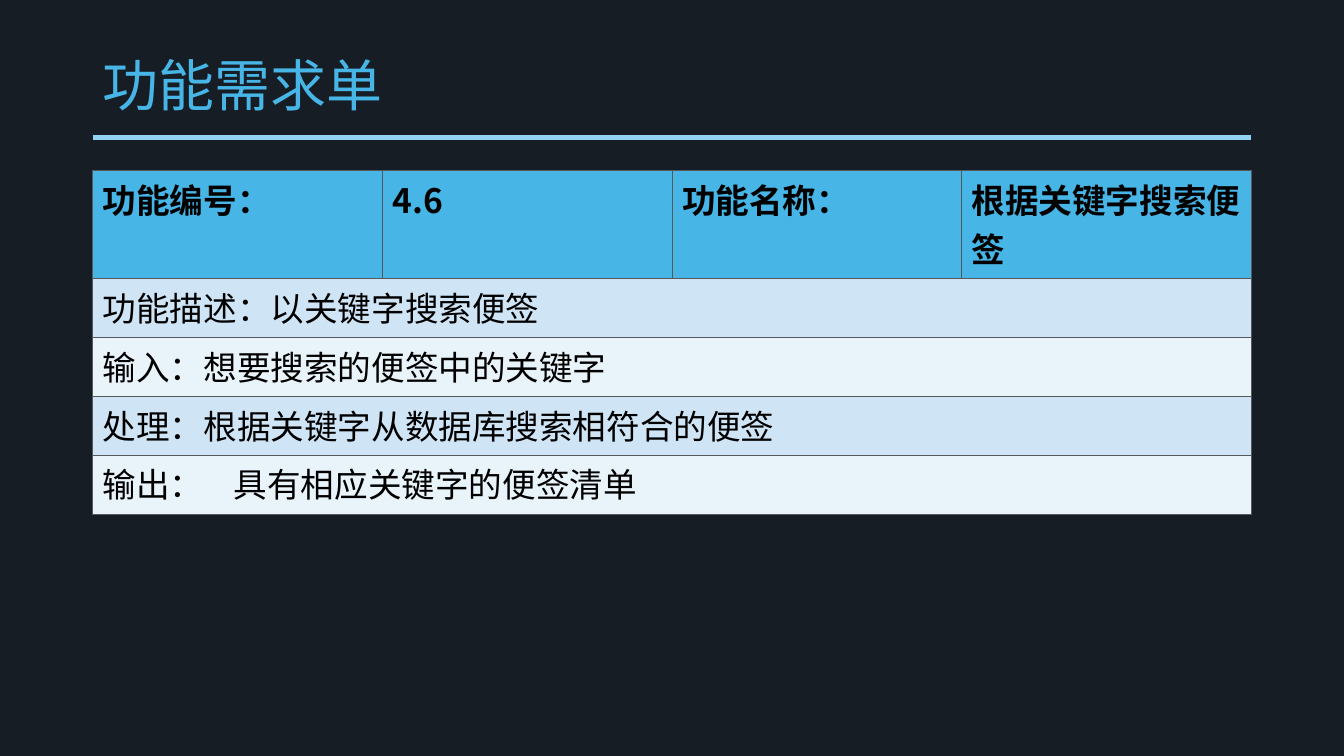
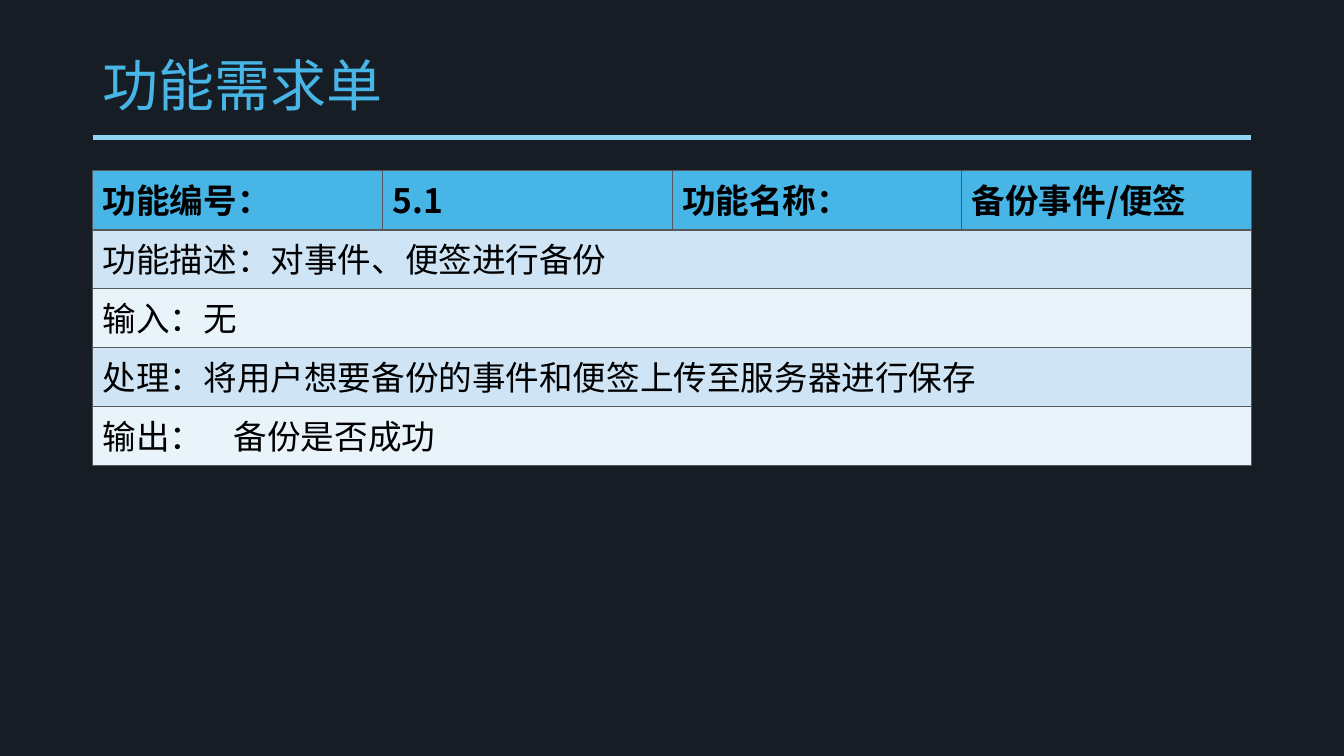
from lxml import etree
from pptx import Presentation
from pptx.dml.color import RGBColor
from pptx.enum import shapes, text
from pptx.oxml import ns
from pptx.util import Inches, Pt

COLORS = {
    "background": "171D25",
    "title": "47B6E7",
    "rule": "91D3F1",
    "header": "47B6E7",
    "odd_row": "CFE5F6",
    "even_row": "E9F3FA",
    "border": "55595B",
    "body": "000000",
}
TITLE_FONT, TABLE_FONT = "Arial", "Noto Sans CJK SC"
LEFT, WIDTH = 0.92, 11.5
TITLE_BOX = (LEFT, 0.4, WIDTH, 0.95)
TABLE_TOP, DETAILS_HEIGHT = 1.69, 2.34
CELL_TOP_MARGIN = 0.04
THIN, THICK = 0.45, 1.47
OUTPUT_TAB = 1.3

REQUIREMENTS = [
    {
        "header": ["功能编号：", "4.6", "功能名称：", "根据关键字搜索便签"],
        "header_height": 1.07,
        "header_line": THIN,
        "details": [
            "功能描述：以关键字搜索便签",
            "输入：想要搜索的便签中的关键字",
            "处理：根据关键字从数据库搜索相符合的便签",
            "输出：\t具有相应关键字的便签清单",
        ],
    },
    {
        "header": ["功能编号：", "5.1", "功能名称：", "备份事件/便签"],
        "header_height": 0.59,
        "header_line": THICK,
        "details": [
            "功能描述：对事件、便签进行备份",
            "输入：无",
            "处理：将用户想要备份的事件和便签上传至服务器进行保存",
            "输出：\t备份是否成功",
        ],
    },
]


def color(name):
    return RGBColor.from_string(COLORS[name])


def add_child(parent, tag, **attributes):
    return etree.SubElement(parent, ns.qn(tag), **attributes)


def set_font(paragraph, name, size, color_name, bold=False):
    font = paragraph.font
    font.size, font.bold, font.name = Pt(size), bold, name
    font.color.rgb = color(color_name)
    defaults = paragraph._p.pPr.find(ns.qn("a:defRPr"))
    add_child(defaults, "a:ea", typeface=name)


def set_borders(cell, top, bottom):
    widths = {"a:lnL": THIN, "a:lnR": THIN, "a:lnT": top, "a:lnB": bottom}
    properties = cell._tc.get_or_add_tcPr()
    for position, (tag, width) in enumerate(widths.items()):
        line = etree.Element(ns.qn(tag), w=str(Pt(width)))
        fill = add_child(line, "a:solidFill")
        add_child(fill, "a:srgbClr", val=COLORS["border"])
        properties.insert(position, line)


def add_heading(slide, left, top, width, height):
    # Title
    title = slide.shapes.add_textbox(*map(Inches, (left, top, width, height)))
    frame = title.text_frame
    frame.word_wrap = True
    frame.vertical_anchor = text.MSO_ANCHOR.MIDDLE
    paragraph = frame.paragraphs[0]
    paragraph.text = "功能需求单"
    paragraph.line_spacing = 0.9
    set_font(paragraph, TITLE_FONT, 40, "title")

    # Rule under the title
    rule_y = Inches(top + height + 0.01)
    rule = slide.shapes.add_connector(
        shapes.MSO_CONNECTOR.STRAIGHT,
        Inches(left), rule_y, Inches(left + width), rule_y)
    rule.line.color.rgb = color("rule")
    rule.line.width = Pt(3.5)
    add_child(rule._element.spPr, "a:effectLst")


def fill_cell(cell, words, fill_name, bold):
    cell.fill.solid()
    cell.fill.fore_color.rgb = color(fill_name)
    cell.margin_top = Inches(CELL_TOP_MARGIN)
    paragraph = cell.text_frame.paragraphs[0]
    paragraph.text = words
    if "\t" in words:
        tabs = add_child(paragraph._p.get_or_add_pPr(), "a:tabLst")
        add_child(tabs, "a:tab", pos=str(Inches(OUTPUT_TAB)), algn="l")
    set_font(paragraph, TABLE_FONT, 24, "body", bold)


def add_requirement_table(slide, requirement, left, top, width):
    header, details = requirement["header"], requirement["details"]
    detail_height = DETAILS_HEIGHT / len(details)
    heights = [requirement["header_height"]] + [detail_height] * len(details)
    table = slide.shapes.add_table(
        len(heights), len(header), Inches(left), Inches(top),
        Inches(width), Inches(sum(heights))).table
    table.horz_banding = False
    for row, height in zip(table.rows, heights):
        row.height = Inches(height)

    # Header row
    for column, words in enumerate(header):
        fill_cell(table.cell(0, column), words, "header", True)

    # Detail rows, each across the whole table
    for row, words in enumerate(details, 1):
        first = table.cell(row, 0)
        first.merge(table.cell(row, len(header) - 1))
        fill_cell(first, words, "odd_row" if row % 2 else "even_row", False)

    # Borders, with their own width between header and details
    header_line = requirement["header_line"]
    for row in range(len(heights)):
        for column in range(len(header)):
            set_borders(table.cell(row, column),
                        top=header_line if row == 1 else THIN,
                        bottom=header_line if row == 0 else THIN)


def add_requirement_slide(prs, requirement):
    slide = prs.slides.add_slide(prs.slide_layouts[6])
    add_heading(slide, *TITLE_BOX)
    add_requirement_table(slide, requirement, LEFT, TABLE_TOP, WIDTH)


def main():
    prs = Presentation()
    prs.slide_width, prs.slide_height = Inches(13.34), Inches(7.5)
    backdrop = prs.slide_master.background.fill
    backdrop.solid()
    backdrop.fore_color.rgb = color("background")
    for requirement in REQUIREMENTS:
        add_requirement_slide(prs, requirement)
    prs.save("out.pptx")


if __name__ == "__main__":
    main()
